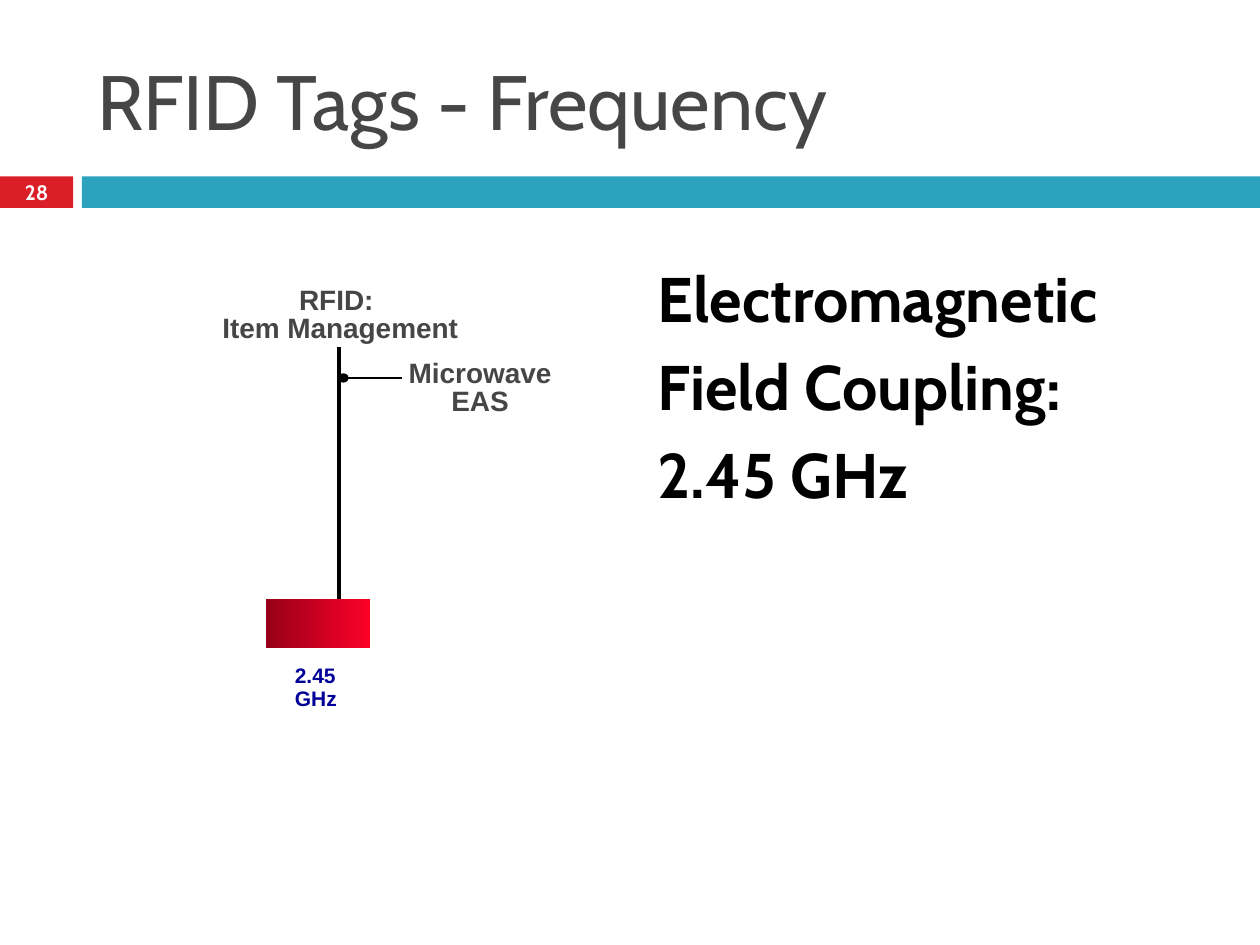
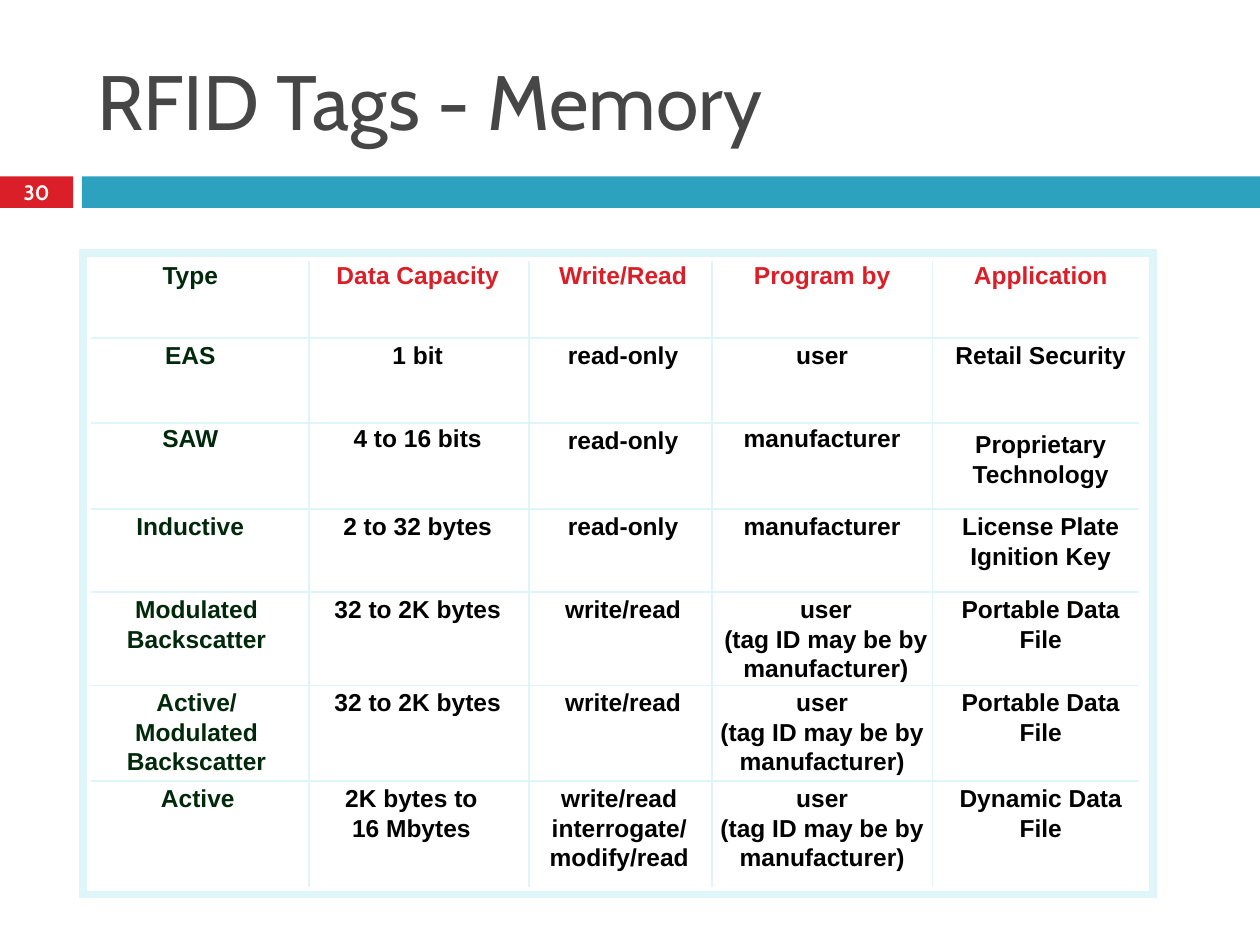
import pptx
import pptx.util
import pptx.dml.color
import pptx.enum.shapes
import pptx.enum.text
import pptx.oxml
import pptx.oxml.ns
from collections import namedtuple
from itertools import accumulate

Inches = pptx.util.Inches
Pt = pptx.util.Pt
SHAPE = pptx.enum.shapes.MSO_SHAPE
ALIGN = pptx.enum.text.PP_ALIGN
ANCHOR = pptx.enum.text.MSO_ANCHOR
Box = namedtuple("Box", "left top width height")

COLORS = {
    "number_band": "DA1F28",
    "title_band": "2DA2BF",
    "title": "464646",
    "text": "000000",
    "white": "FFFFFF",
    "frequency": "000099",
    "reader_dark": "970018",
    "reader_bright": "FC0128",
    "grid": "DEF5FA",
    "tag_type": "00280A",
    "heading": "DA1F28",
}
HEADING_FONT = "Cabin"
LABEL_FONT = "Arial"

MEMORY_ROWS = [
    ["Type", "Data Capacity", "Write/Read", "Program by", "Application"],
    ["EAS", "1 bit", "read-only", "user", "Retail Security"],
    ["SAW", "4 to 16 bits", "read-only", "manufacturer", "Proprietary\nTechnology"],
    ["Inductive", "2 to 32 bytes", "read-only", "manufacturer", "License Plate\nIgnition Key"],
    ["Modulated\nBackscatter", "32 to 2K bytes", "write/read",
     "user\n(tag ID may be by manufacturer)", "Portable Data File"],
    ["Active/\nModulated\nBackscatter", "32 to 2K bytes", "write/read",
     "user\n(tag ID may be by manufacturer)", "Portable Data File"],
    ["Active", "2K bytes to\n16 Mbytes", "write/read\ninterrogate/\nmodify/read",
     "user\n(tag ID may be by manufacturer)", "Dynamic Data File"],
]
COLUMN_WIDTHS = [1.73, 1.75, 1.45, 1.75, 1.64]
COLUMN_MARGINS = [(0.05, 0.2), (0.05, 0.07), (0.07, 0.03), (0.05, 0.05), (0.13, 0.05)]
ROW_HEIGHTS = [0.63, 0.68, 0.68, 0.66, 0.74, 0.76, 0.84]
SIDE_SHIFTS = {(4, 0): 0.05, (5, 0): 0.05, (6, 0): 0.06, (6, 1): -0.05, (6, 2): -0.03,
               (4, 3): 0.03}
TOP_MARGINS = {(2, 0): 0, (2, 1): 0, (2, 3): 0, (2, 4): 0.05}


def rgb(name):
    return pptx.dml.color.RGBColor.from_string(COLORS[name])


def drawing_xml(tag, content="", attributes=""):
    return pptx.oxml.parse_xml(
        f'<a:{tag} {pptx.oxml.ns.nsdecls("a")} {attributes}>{content}</a:{tag}>')


def write(frame, text, size, color, font=LABEL_FONT, bold=True, align=ALIGN.LEFT,
          spacing=None, before=0):
    for index, line in enumerate(text.split("\n")):
        paragraph = frame.paragraphs[0] if index == 0 else frame.add_paragraph()
        paragraph.alignment = align
        paragraph.space_before = Pt(before)
        if spacing:
            paragraph.line_spacing = spacing
        run = paragraph.add_run()
        run.text = line
        run.font.size = Pt(size)
        run.font.name = font
        run.font.bold = bold
        run.font.color.rgb = rgb(color)


def place(placeholder, box):
    placeholder.left, placeholder.top, placeholder.width, placeholder.height = map(Inches, box)
    placeholder.text_frame.auto_size = pptx.enum.text.MSO_AUTO_SIZE.NONE


def outline(line, color, width):
    line.color.rgb = rgb(color)
    line.width = Pt(width)


def add_block(slide, box, fill=None, kind=SHAPE.RECTANGLE):
    block = slide.shapes.add_shape(kind, *map(Inches, box))
    block.shadow.inherit = False
    block.line.fill.background()
    if fill:
        block.fill.solid()
        block.fill.fore_color.rgb = rgb(fill)
    else:
        block.fill.background()
    return block


def add_line(slide, start, end, width, color="text"):
    connector = slide.shapes.add_connector(
        pptx.enum.shapes.MSO_CONNECTOR.STRAIGHT, *map(Inches, start + end))
    outline(connector.line, color, width)
    connector._element.spPr.append(drawing_xml("effectLst"))


def add_label(slide, box, text, size, color, wrap=False, **style):
    label = slide.shapes.add_textbox(*map(Inches, box)).text_frame
    label.word_wrap = wrap
    label.margin_left = label.margin_right = Inches(0.07)
    label.margin_top = label.margin_bottom = Inches(0.03)
    write(label, text, size, color, **style)


def add_titled_slide(deck, layout, title, number):
    slide = deck.slides.add_slide(deck.slide_layouts.get_by_name(layout))
    number_band = add_block(slide, Box(0, 1.4, 0.58, 0.25), "number_band").text_frame
    number_band.margin_left = number_band.margin_right = 0
    number_band.margin_top = number_band.margin_bottom = 0
    number_band.vertical_anchor = ANCHOR.MIDDLE
    write(number_band, number, 11.9, "white", HEADING_FONT, align=ALIGN.CENTER)
    add_block(slide, Box(0.65, 1.4, 9.35, 0.25), "title_band")
    place(slide.shapes.title, Box(0.67, 0.25, 8.92, 1.08))
    heading = slide.shapes.title.text_frame
    heading.vertical_anchor = ANCHOR.MIDDLE
    write(heading, title, 44, "title", HEADING_FONT, bold=False)
    return slide


def fill_coupling(slide, box):
    coupling = slide.placeholders[1]
    place(coupling, box)
    write(coupling.text_frame, "Electromagnetic\nField Coupling:\n2.45 GHz", 36, "text",
          HEADING_FONT, before=7)
    for paragraph in coupling.text_frame.paragraphs:
        properties = paragraph._p.get_or_add_pPr()
        properties.set("marL", str(Inches(0.35)))
        properties.set("indent", str(Inches(-0.35)))
        properties.append(drawing_xml("buNone"))


def draw_frequency_diagram(slide, box):
    left, top = box.left, box.top
    stem, branch, base = left + 1, top + 0.75, top + 2.5
    add_label(slide, Box(left, top, 2.02, 0.51), "RFID: \nItem Management", 16, "title",
              align=ALIGN.CENTER, spacing=0.85)
    add_label(slide, Box(left + 1.48, top + 0.58, 1.28, 0.51), "Microwave\nEAS", 16, "title",
              align=ALIGN.CENTER, spacing=0.85)
    junction = add_block(slide, Box(stem, branch - 0.03, 0.07, 0.06), "text", SHAPE.OVAL)
    outline(junction.line, "text", 1)
    add_line(slide, (stem + 0.5, branch), (stem + 0.02, branch), 1)
    add_line(slide, (stem, base), (stem, top + 0.5), 2)
    add_label(slide, Box(left + 0.58, base + 0.5, 0.6, 0.42), "2.45 GHz", 12, "frequency",
              wrap=True, spacing=0.9)
    reader = add_block(slide, Box(left + 0.42, base, 0.83, 0.39))
    reader.fill.gradient()
    reader.fill.gradient_angle = 0
    for stop, color in zip(reader.fill.gradient_stops, ("reader_dark", "reader_bright")):
        stop.color.rgb = rgb(color)


def fill_memory_cell(cell, row, column):
    shift = SIDE_SHIFTS.get((row, column), 0)
    left, right = COLUMN_MARGINS[column]
    cell.margin_left, cell.margin_right = Inches(left + shift), Inches(right - shift)
    cell.margin_top = Inches(TOP_MARGINS.get((row, column), 0.02))
    cell.margin_bottom = 0
    for edge in ("lnL", "lnR", "lnT", "lnB"):
        cell._tc.get_or_add_tcPr().append(drawing_xml(edge, "<a:noFill/>"))
    cell.fill.background()
    color = "tag_type" if column == 0 else "heading" if row == 0 else "text"
    write(cell.text_frame, MEMORY_ROWS[row][column], 14, color, align=ALIGN.CENTER, spacing=1.07)


def draw_memory_table(slide, box):
    frame = add_block(slide, box)
    outline(frame.line, "grid", 4.5)
    frame.line._get_or_add_ln().append(drawing_xml("miter", attributes='lim="800000"'))
    left, top = box.left + 0.06, box.top + 0.04
    width, height = sum(COLUMN_WIDTHS), sum(ROW_HEIGHTS)
    table = slide.shapes.add_table(
        len(ROW_HEIGHTS), len(COLUMN_WIDTHS),
        *map(Inches, (left, top, width, height))).table
    table.first_row = table.horz_banding = False
    for column, column_width in zip(table.columns, COLUMN_WIDTHS):
        column.width = Inches(column_width)
    for row, row_height in zip(table.rows, ROW_HEIGHTS):
        row.height = Inches(row_height)
    for r in range(len(ROW_HEIGHTS)):
        for c in range(len(COLUMN_WIDTHS)):
            fill_memory_cell(table.cell(r, c), r, c)
    for y in accumulate(ROW_HEIGHTS[:-1], initial=top):
        if y > top:
            add_line(slide, (left, y), (left + width, y), 1, "grid")
    for x in accumulate(COLUMN_WIDTHS[:-1], initial=left):
        if x > left:
            add_line(slide, (x, top + 0.02), (x, top + height), 1, "grid")


def main():
    deck = pptx.Presentation()
    deck.slide_width, deck.slide_height = Inches(10), Inches(7.5)
    frequency = add_titled_slide(deck, "Title and Content", "RFID Tags - Frequency", "28")
    fill_coupling(frequency, Box(5.12, 2.01, 4.15, 4.35))
    draw_frequency_diagram(frequency, Box(1.69, 2.25, 2.76, 3.25))
    memory = add_titled_slide(deck, "Title Only", "RFID Tags - Memory", "30")
    draw_memory_table(memory, Box(0.66, 2.01, 8.49, 5.09))
    deck.save("out.pptx")


if __name__ == "__main__":
    main()
